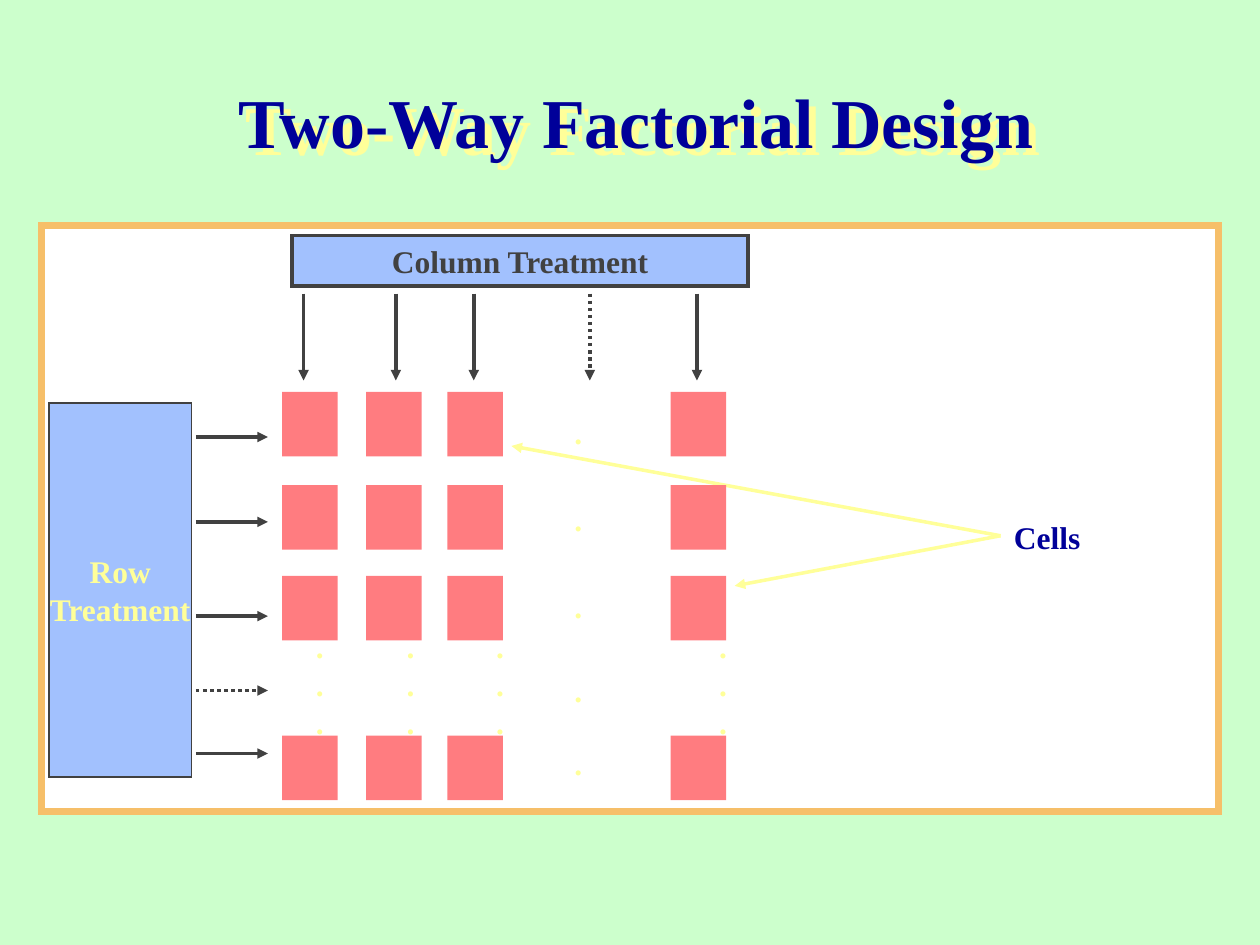
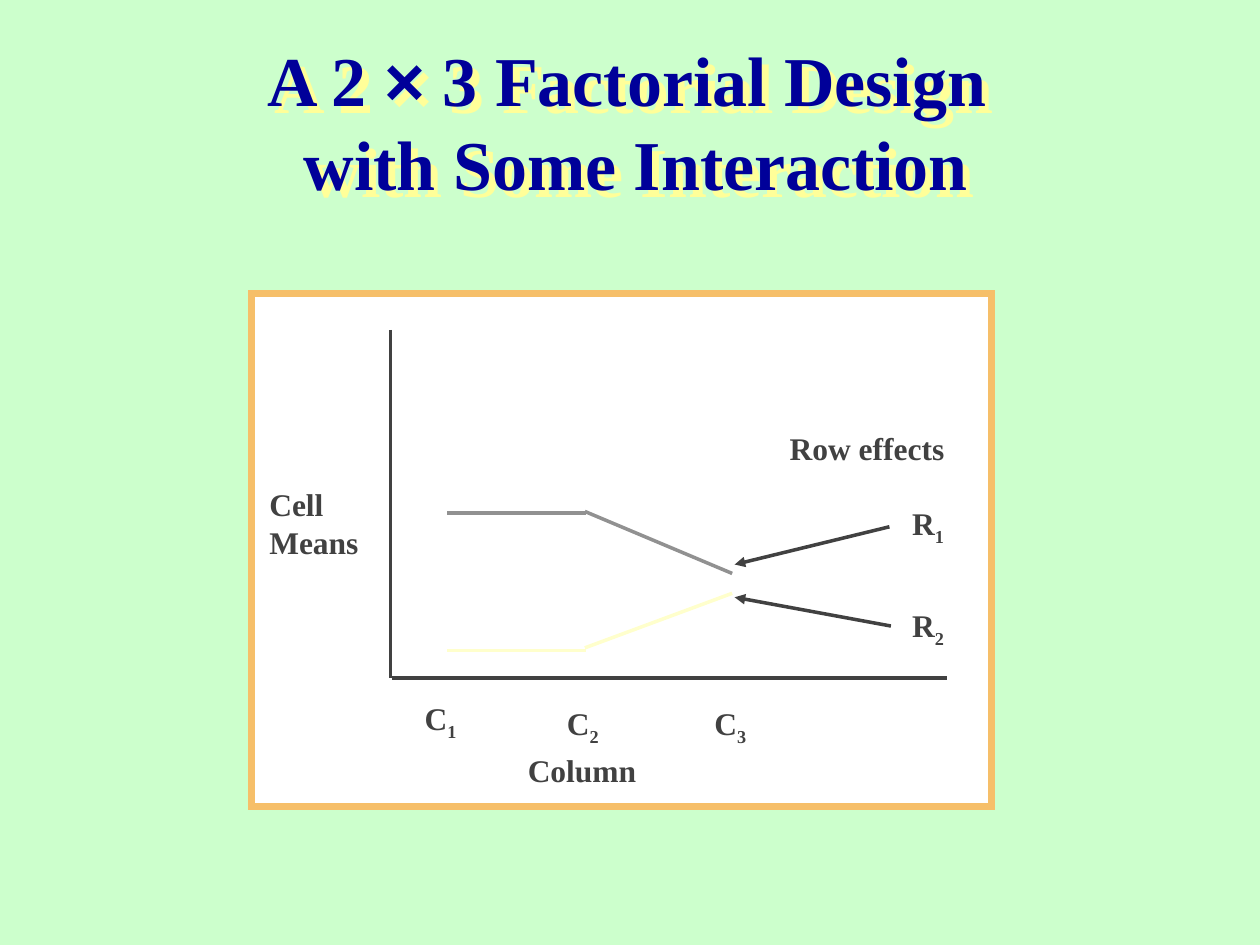
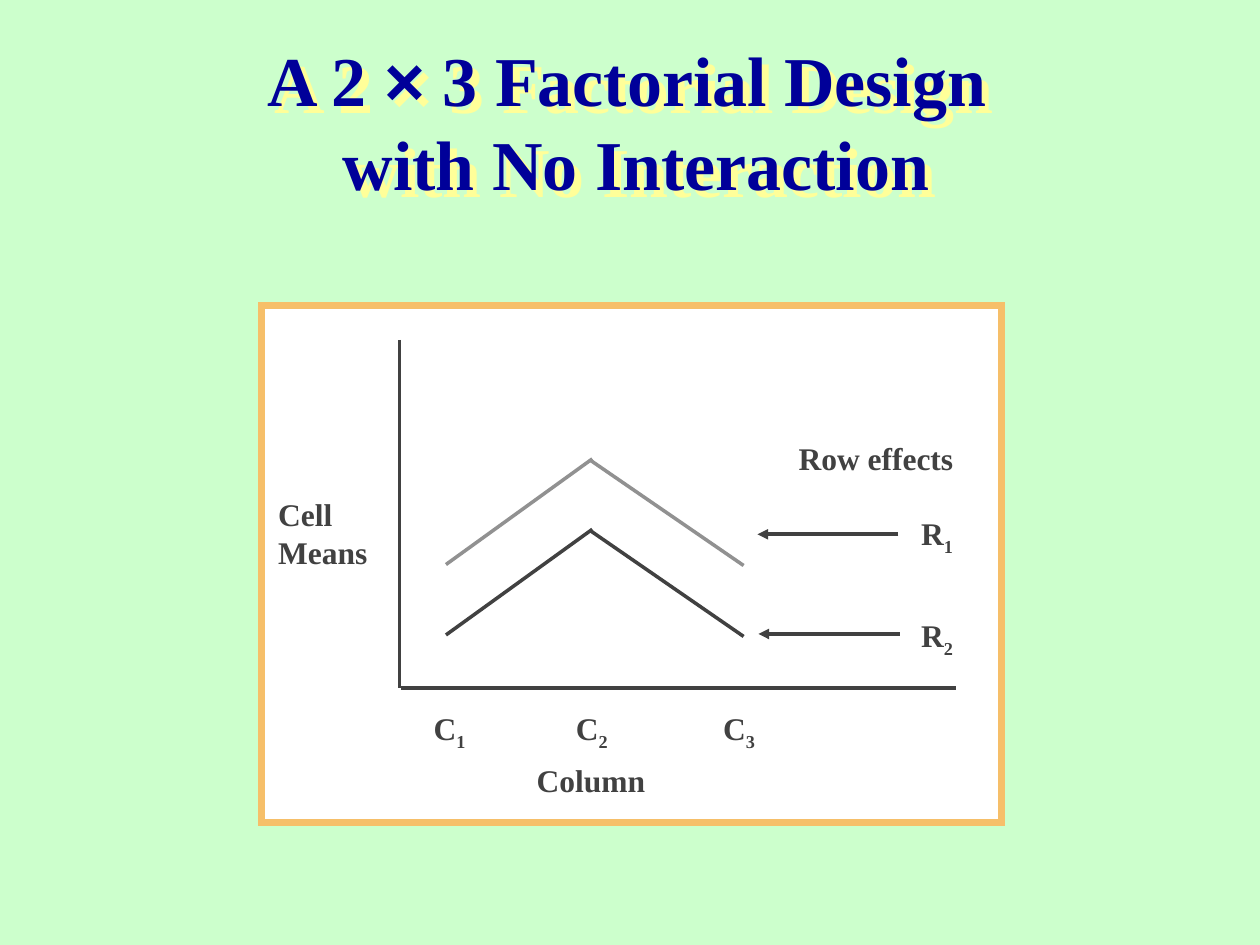
from dataclasses import dataclass

from lxml import etree
from pptx import Presentation
from pptx.dml.color import RGBColor
from pptx.enum.dml import MSO_LINE
from pptx.enum.shapes import MSO_CONNECTOR, MSO_SHAPE
from pptx.enum.text import MSO_ANCHOR, MSO_AUTO_SIZE, PP_ALIGN
from pptx.oxml.ns import qn
from pptx.slide import Slide
from pptx.util import Cm, Pt

RECT = MSO_SHAPE.RECTANGLE
STRAIGHT = MSO_CONNECTOR.STRAIGHT
DOTTED = MSO_LINE.ROUND_DOT
CENTER, LEFT = PP_ALIGN.CENTER, PP_ALIGN.LEFT
TOP, MIDDLE = MSO_ANCHOR.TOP, MSO_ANCHOR.MIDDLE
FIT_SHAPE, NO_FIT = MSO_AUTO_SIZE.SHAPE_TO_FIT_TEXT, MSO_AUTO_SIZE.NONE

COLORS = {
    "background": "CCFFCC",
    "navy": "000099",
    "yellow": "FFFF99",
    "pale": "FFFFCC",
    "white": "FFFFFF",
    "orange": "F6BF69",
    "blue": "A2C1FE",
    "red": "FF7C80",
    "dark": "414141",
    "grey": "919191",
}
SERIF, SANS = "Times New Roman", "Arial"
BODY_SIZE, TITLE_SIZE = 18, 40
TITLE_BOX = (1.07, 0.84, 23.5, 3.18)
SHADOW_DISTANCE = Pt(5.66)
LINE_WIDTH = 2


@dataclass(frozen=True)
class Box:
    """A rectangle in centimetres."""

    x: float
    y: float
    w: float
    h: float


@dataclass(frozen=True)
class Segment:
    """A straight line in centimetres, with its look."""

    x1: float
    y1: float
    x2: float
    y2: float
    color: str = "dark"
    arrow: bool = False
    dotted: bool = False


@dataclass(frozen=True)
class Label:
    """Lines of text with an optional subscript at the end."""

    box: Box
    lines: tuple[str, ...]
    sub: str = ""
    color: str = "dark"
    wrap: bool = False


@dataclass(frozen=True)
class Plot:
    """An interaction plot: title ending, panel, label offset and its lines."""

    ending: str
    panel: Box
    dx: float
    dy: float
    category_tops: tuple[float, ...]
    segments: tuple[Segment, ...]


COLUMNS = (5.69, 7.38, 9.02, 13.52)
ROWS = (7.9, 9.78, 11.61, 14.83)
COLUMN_DOTS = (6.12, 7.95, 9.75, 14.25)
MIDDLE_DOTS = (8.2, 9.96, 11.71, 13.41, 14.88)
COLUMN_ARROWS = ((6.12, False), (7.98, False), (9.55, False), (11.89, True), (14.05, False))
ROW_ARROWS = ((8.81, False), (10.52, False), (12.42, False), (13.92, True), (15.19, False))
CATEGORIES = (8.31, 11.18, 14.15)
SUB_W, SUB_H = 1.2, 1.12

AXES = (Segment(7.87, 6.65, 7.87, 13.67), Segment(7.9, 13.67, 19.1, 13.67))
PLOT_LABELS = (
    Label(Box(5.18, 9.65, 2.31, 1.78), ("Cell", "Means")),
    Label(Box(15.67, 8.53, 3.63, 1.02), ("Row effects",)),
    Label(Box(18.14, 10.03, SUB_W, SUB_H), ("R",), "1"),
    Label(Box(18.14, 12.09, SUB_W, SUB_H), ("R",), "2"),
    Label(Box(10.39, 15.01, 2.69, 1.02), ("Column",)),
)
PLOTS = (
    Plot("with Some Interaction", Box(5.08, 5.92, 14.91, 10.34), 0, 0, (13.97, 14.07, 14.07), (
        Segment(17.93, 10.62, 14.81, 11.38, arrow=True),
        Segment(17.96, 12.62, 14.81, 12.04, arrow=True),
        Segment(9.02, 13.11, 11.81, 13.11, "pale"),
        Segment(14.76, 11.96, 11.79, 13.06, "pale"),
        Segment(9.02, 10.34, 11.81, 10.34, "grey"),
        Segment(14.76, 11.56, 11.79, 10.31, "grey"),
    )),
    Plot("with No Interaction", Box(5.28, 6.15, 14.91, 10.44), 0.18, 0.2, (14.17,) * 3, (
        Segment(8.99, 12.8, 11.94, 10.67),
        Segment(14.99, 12.83, 11.89, 10.69),
        Segment(8.99, 11.38, 11.94, 9.25, "grey"),
        Segment(14.99, 11.4, 11.89, 9.27, "grey"),
        Segment(18.11, 10.77, 15.27, 10.77, arrow=True),
        Segment(18.14, 12.78, 15.29, 12.78, arrow=True),
    )),
)


def rgb(name: str) -> RGBColor:
    """Look up a colour by name."""
    return RGBColor.from_string(COLORS[name])


def lengths(box: Box) -> tuple[Cm, ...]:
    """Turn a box into slide lengths."""
    return Cm(box.x), Cm(box.y), Cm(box.w), Cm(box.h)


def add_run(p, text: str, color: str, size: int = BODY_SIZE, font: str = SERIF):
    """Add one bold run and return it."""
    r = p.add_run()
    r.text = text
    r.font.name, r.font.size, r.font.bold = font, Pt(size), True
    r.font.color.rgb = rgb(color)
    return r


def add_lines(tf, lines: tuple[str, ...], color: str, align=LEFT) -> None:
    """Write one paragraph per line."""
    for i, line in enumerate(lines):
        p = tf.add_paragraph() if i else tf.paragraphs[0]
        p.alignment = align
        add_run(p, line, color)


def add_rect(s: Slide, box: Box, fill: str, line: str = "", width: float = LINE_WIDTH):
    """Draw a flat rectangle, with square corners on its outline."""
    sp = s.shapes.add_shape(RECT, *lengths(box))
    sp.shadow.inherit = False
    sp.fill.solid()
    sp.fill.fore_color.rgb = rgb(fill)
    if line:
        sp.line.color.rgb = rgb(line)
        sp.line.width = Pt(width)
        etree.SubElement(sp.line._get_or_add_ln(), qn("a:miter"), lim="800000")
    else:
        sp.line.fill.background()
    return sp


def add_panel(s: Slide, box: Box) -> None:
    """Draw the white panel with its orange frame."""
    add_rect(s, box, "white", "orange", 4)


def add_caption(s: Slide, box: Box, lines: tuple[str, ...], color: str, width: float, anchor) -> None:
    """Draw a blue treatment box with centred text."""
    tf = add_rect(s, box, "blue", "dark", width).text_frame
    tf.word_wrap = anchor == TOP
    tf.vertical_anchor = anchor
    add_lines(tf, lines, color, CENTER)


def add_label(s: Slide, label: Label, dx: float = 0, dy: float = 0) -> None:
    """Place a text label, shifted by an offset."""
    b = label.box
    tf = s.shapes.add_textbox(*lengths(Box(b.x + dx, b.y + dy, b.w, b.h))).text_frame
    tf.word_wrap = label.wrap
    tf.auto_size = FIT_SHAPE
    add_lines(tf, label.lines, label.color)
    if label.sub:
        r = add_run(tf.paragraphs[0], label.sub, label.color)
        r.font._element.set("baseline", "-25000")


def add_segment(s: Slide, seg: Segment, dx: float = 0, dy: float = 0) -> None:
    """Draw a line or an arrow, shifted by an offset."""
    ln = s.shapes.add_connector(
        STRAIGHT, Cm(seg.x1 + dx), Cm(seg.y1 + dy), Cm(seg.x2 + dx), Cm(seg.y2 + dy))
    ln.line.color.rgb = rgb(seg.color)
    ln.line.width = Pt(LINE_WIDTH)
    if seg.dotted:
        ln.line.dash_style = DOTTED
    if seg.arrow:
        etree.SubElement(ln.line._get_or_add_ln(), qn("a:tailEnd"), type="triangle")
    etree.SubElement(ln._element.spPr, qn("a:effectLst"))


def add_slide(prs) -> tuple[Slide, object]:
    """Add a slide with a placed, shadowed title; return it and the title paragraph."""
    s = prs.slides.add_slide(prs.slide_layouts[5])
    title = s.shapes.title
    title.left, title.top, title.width, title.height = lengths(Box(*TITLE_BOX))
    effects = etree.SubElement(title._element.spPr, qn("a:effectLst"))
    shadow = etree.SubElement(effects, qn("a:outerShdw"), dist=str(int(SHADOW_DISTANCE)),
                              dir="2700000", algn="ctr", rotWithShape="0")
    etree.SubElement(shadow, qn("a:srgbClr"), val=COLORS["yellow"])
    tf = title.text_frame
    tf.word_wrap = True
    tf.auto_size = NO_FIT
    tf.vertical_anchor = MIDDLE
    p = tf.paragraphs[0]
    p.alignment = CENTER
    return s, p


def add_design_slide(prs) -> None:
    """Build the grid of cells with row and column treatments."""
    s, p = add_slide(prs)
    add_run(p, "Two-Way Factorial Design", "navy", TITLE_SIZE)
    add_panel(s, Box(0.84, 4.55, 23.72, 11.81))
    add_label(s, Label(Box(20.19, 10.31, 1.85, 1.02), ("Cells",), color="navy"))
    for x, y in ((14.81, 11.81), (10.31, 8.99)):
        add_segment(s, Segment(20.17, 10.8, x, y, "yellow", arrow=True))
    for x, dots_x in zip(COLUMNS, COLUMN_DOTS):
        for y in ROWS:
            add_rect(s, Box(x, y, 1.12, 1.3), "red")
        add_label(s, Label(Box(dots_x, 12.52, 0.51, 2.54), (".",) * 3, color="yellow", wrap=True))
    for y in MIDDLE_DOTS:
        add_label(s, Label(Box(11.33, y, 0.66, 1.02), (".",), color="yellow"))
    add_caption(s, Box(5.89, 4.75, 9.19, 1.02), ("Column Treatment",), "dark", 2, TOP)
    add_caption(s, Box(0.99, 8.13, 2.87, 7.54), ("Row", "Treatment"), "yellow", 1, MIDDLE)
    for x, dotted in COLUMN_ARROWS:
        add_segment(s, Segment(x, 5.92, x, 7.67, arrow=True, dotted=dotted))
    for y, dotted in ROW_ARROWS:
        add_segment(s, Segment(3.95, y, 5.4, y, arrow=True, dotted=dotted))


def add_plot_slide(prs, plot: Plot) -> None:
    """Build one interaction plot."""
    s, p = add_slide(prs)
    for text, font in (("A 2 ", SERIF), ("×", SANS), (" 3 Factorial Design ", SERIF)):
        add_run(p, text, "navy", TITLE_SIZE, font)
    p.add_line_break()
    add_run(p, plot.ending, "navy", TITLE_SIZE)
    add_panel(s, plot.panel)
    for axis in AXES:
        add_segment(s, axis, plot.dx, plot.dy)
    for label in PLOT_LABELS:
        add_label(s, label, plot.dx, plot.dy)
    for i, (x, y) in enumerate(zip(CATEGORIES, plot.category_tops), start=1):
        add_label(s, Label(Box(x + plot.dx, y, SUB_W, SUB_H), ("C",), str(i)))
    for seg in plot.segments:
        add_segment(s, seg)


def main() -> None:
    """Build and save the presentation."""
    prs = Presentation()
    prs.slide_width, prs.slide_height = Cm(25.4), Cm(19.05)
    fill = prs.slide_master.background.fill
    fill.solid()
    fill.fore_color.rgb = rgb("background")
    add_design_slide(prs)
    for plot in PLOTS:
        add_plot_slide(prs, plot)
    prs.save("out.pptx")


if __name__ == "__main__":
    main()
